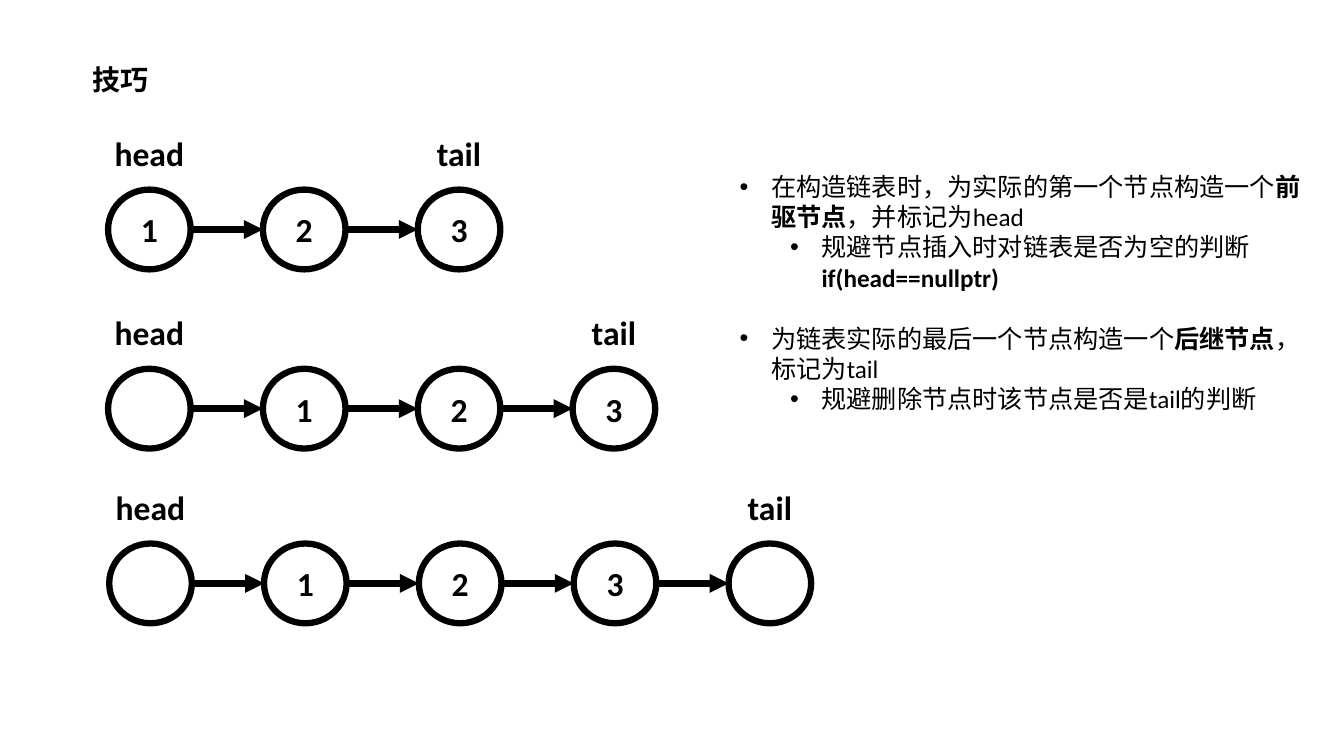
from dataclasses import dataclass

from lxml import etree
from pptx import Presentation
from pptx.dml.color import RGBColor
from pptx.enum.shapes import MSO_CONNECTOR, MSO_SHAPE
from pptx.enum.text import MSO_ANCHOR, MSO_AUTO_SIZE, PP_ALIGN
from pptx.oxml.ns import qn
from pptx.util import Pt

LEFT, CENTER = PP_ALIGN.LEFT, PP_ALIGN.CENTER
TOP, MIDDLE = MSO_ANCHOR.TOP, MSO_ANCHOR.MIDDLE
NO_AUTOSIZE = MSO_AUTO_SIZE.NONE
ELLIPSE, STRAIGHT = MSO_SHAPE.OVAL, MSO_CONNECTOR.STRAIGHT
TITLE_ONLY = 5


@dataclass(frozen=True)
class Theme:
    font: str = "Calibri"
    ink: RGBColor = RGBColor(0, 0, 0)
    title_size: int = 20
    node_size: int = 24
    body_size: int = 18
    stroke: float = 4.5


NODE_W, NODE_H = 59, 57
NODE_PITCH = 110.6
LABEL_RISE, LABEL_H = 44, 36
LABEL_WIDTHS = {"head": 64, "tail": 46}
BULLET_HANG, LEVEL_STEP = 22.5, 36

# left, top and node values of each linked list
LINKED_LISTS = [
    (77.2, 135.4, ["1", "2", "3"]),
    (77.2, 263.4, ["", "1", "2", "3"]),
    (78, 388.2, ["", "1", "2", "3", ""]),
]

# level, space before, (text, bold) runs
TIPS = [
    (0, 0, [("在构造链表时，为实际的第一个节点构造一个", False),
            ("前驱节点", True), ("，并标记为head", False)]),
    (1, 0, [("规避节点插入时对链表是否为空的判断\v", False),
            ("if(head==nullptr)", True)]),
    (0, 22, [("为链表实际的最后一个节点构造一个", False),
             ("后继节点", True), ("，标记为tail", False)]),
    (1, 0, [("规避删除节点时该节点是否是tail的判断", False)]),
]


class SlideBuilder:
    def __init__(self, slide, theme):
        self.slide = slide
        self.theme = theme

    def style(self, paragraph, size, bold=False, align=LEFT):
        paragraph.alignment = align
        font = paragraph.font
        font.name, font.size, font.bold = self.theme.font, Pt(size), bold
        font.color.rgb = self.theme.ink

    def stroke(self, line):
        line.color.rgb = self.theme.ink
        line.width = Pt(self.theme.stroke)

    def title(self, text, left, top, width, height):
        title = self.slide.shapes.title
        title.left, title.top = Pt(left), Pt(top)
        title.width, title.height = Pt(width), Pt(height)
        frame = title.text_frame
        frame.text = text
        frame.auto_size = NO_AUTOSIZE
        frame.vertical_anchor = TOP
        self.style(frame.paragraphs[0], self.theme.title_size, bold=True)

    def node(self, group, left, top, value):
        node = group.shapes.add_shape(
            ELLIPSE, Pt(left), Pt(top), Pt(NODE_W), Pt(NODE_H))
        node.shadow.inherit = False
        node.fill.background()
        self.stroke(node.line)
        if value:
            frame = node.text_frame
            frame.text = value
            frame.vertical_anchor = MIDDLE
            self.style(frame.paragraphs[0], self.theme.node_size, True, CENTER)

    def arrow(self, group, start, end, y):
        arrow = group.shapes.add_connector(
            STRAIGHT, Pt(start), Pt(y), Pt(end), Pt(y))
        self.stroke(arrow.line)
        properties = arrow.element.spPr
        etree.SubElement(properties.find(qn("a:ln")), qn("a:tailEnd"),
                         type="triangle")
        etree.SubElement(properties, qn("a:effectLst"))

    def label(self, group, text, node_left, node_top):
        """Name a node, centred above it."""
        width = LABEL_WIDTHS[text]
        left = node_left + (NODE_W - width) / 2
        box = group.shapes.add_textbox(
            Pt(left), Pt(node_top - LABEL_RISE), Pt(width), Pt(LABEL_H))
        frame = box.text_frame
        frame.text = text
        frame.word_wrap = False
        self.style(frame.paragraphs[0], self.theme.node_size, True, CENTER)

    def linked_list(self, left, top, values):
        group = self.slide.shapes.add_group_shape()
        lefts = [left + i * NODE_PITCH for i in range(len(values))]
        for node_left, value in zip(lefts, values):
            self.node(group, node_left, top, value)
        for source, target in zip(lefts, lefts[1:]):
            self.arrow(group, source + NODE_W, target, top + NODE_H / 2)
        self.label(group, "head", lefts[0], top)
        self.label(group, "tail", lefts[-1], top)

    def bullets(self, items, left, top, width, height):
        box = self.slide.shapes.add_textbox(
            Pt(left), Pt(top), Pt(width), Pt(height))
        frame = box.text_frame
        frame.word_wrap = True
        for i, (level, space_before, runs) in enumerate(items):
            paragraph = frame.add_paragraph() if i else frame.paragraphs[0]
            paragraph.level = level
            if space_before:
                paragraph.space_before = Pt(space_before)
            properties = paragraph._p.get_or_add_pPr()
            properties.set("marL", str(Pt(BULLET_HANG + level * LEVEL_STEP)))
            properties.set("indent", str(-Pt(BULLET_HANG)))
            etree.SubElement(properties, qn("a:buFont"), typeface="Arial")
            etree.SubElement(properties, qn("a:buChar"), char="•")
            self.style(paragraph, self.theme.body_size)
            for text, bold in runs:
                line, *broken = text.split("\v")
                run = paragraph.add_run()
                run.text = line
                if bold:
                    run.font.bold = True
                if broken:
                    paragraph.add_line_break()


def main():
    presentation = Presentation()
    presentation.slide_width, presentation.slide_height = Pt(960), Pt(540)
    slide = presentation.slides.add_slide(
        presentation.slide_layouts[TITLE_ONLY])
    builder = SlideBuilder(slide, Theme())
    builder.title("技巧", 59, 41, 72, 32)
    for left, top, values in LINKED_LISTS:
        builder.linked_list(left, top, values)
    builder.bullets(TIPS, 521.3, 118.8, 416, 204)
    presentation.save("out.pptx")


if __name__ == "__main__":
    main()
